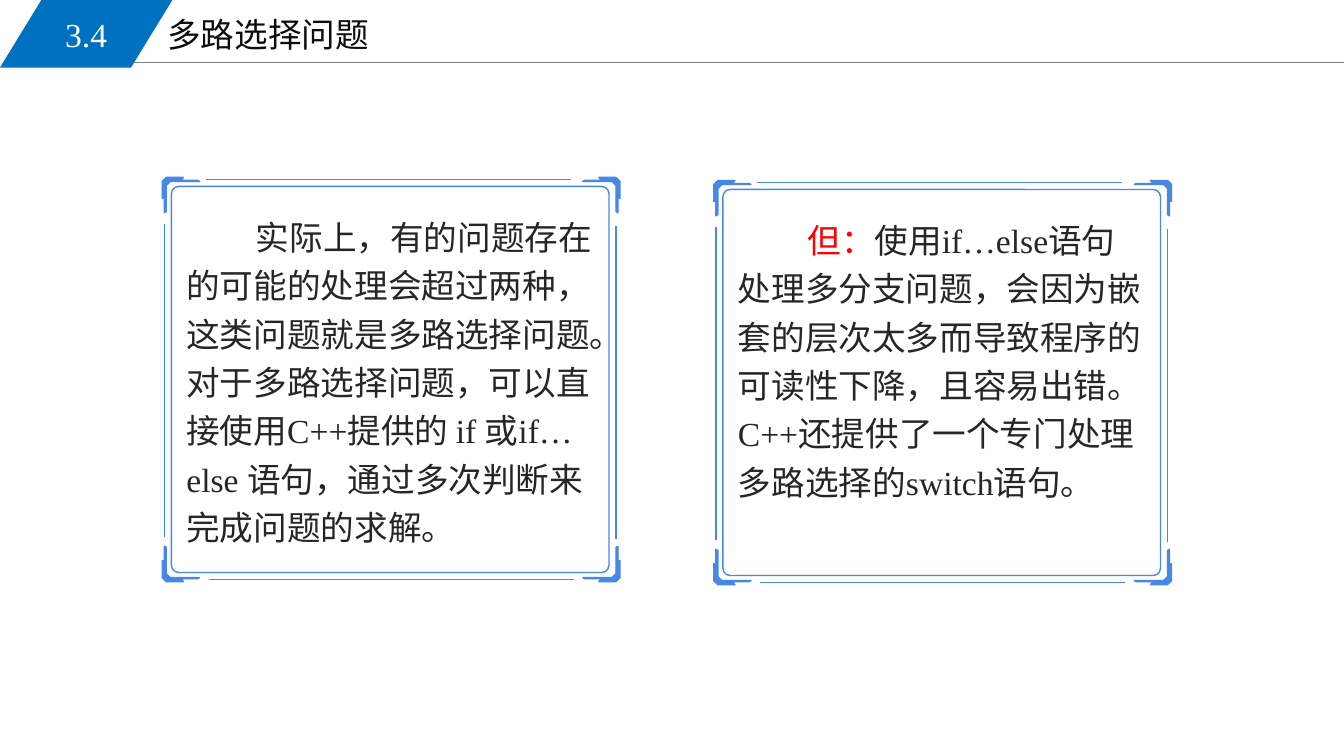
from pptx import Presentation
from pptx.dml.color import RGBColor
from pptx.enum.shapes import MSO_CONNECTOR, MSO_SHAPE
from pptx.enum.text import MSO_ANCHOR, MSO_AUTO_SIZE, PP_ALIGN
from pptx.oxml.ns import qn
from pptx.util import Emu, Inches, Pt
from lxml import etree

LINE = MSO_CONNECTOR.STRAIGHT
PARALLELOGRAM, ROUND_RECT = MSO_SHAPE.PARALLELOGRAM, MSO_SHAPE.ROUNDED_RECTANGLE
TOP, MIDDLE = MSO_ANCHOR.TOP, MSO_ANCHOR.MIDDLE
GROW = MSO_AUTO_SIZE.SHAPE_TO_FIT_TEXT
LEFT, CENTER = PP_ALIGN.LEFT, PP_ALIGN.CENTER

SLIDE_W, SLIDE_H = 13.33, 7.5
FONT, SIZE = "Times New Roman", 24
BLUE, FRAME, GREY, INK, RED = "0070C0", "4788E6", "808080", "262626", "FF0000"
FRAME_W, FRAME_H = 4.54, 4.01

# Top-left bracket, as distances inward from the frame corner
BRACKET = [(.04, 0), (.21, 0), (.18, .03), (.35, .03), (.37, .04), (.08, .04),
           (.04, .08), (.04, .34), (.02, .35), (.02, .19), (0, .21), (0, .04)]


def color(value):
    return RGBColor.from_string(value)


def add_run(p, text, hex_color):
    r = p.add_run()
    r.text = text
    r.font.name, r.font.size = FONT, Pt(SIZE)
    r.font.color.rgb = color(hex_color)


def add_line(s, x1, y1, x2, y2, hex_color, width):
    line = s.shapes.add_connector(LINE, *map(Inches, (x1, y1, x2, y2)))
    line.line.color.rgb = color(hex_color)
    line.line.width = Pt(width)
    etree.SubElement(line._element.spPr, qn("a:effectLst"))


def add_header(s, number, title):
    add_line(s, 1.13, .62, SLIDE_W, .62, GREY, .75)

    # Title placeholder
    sp = s.shapes.title
    sp.left, sp.top, sp.width, sp.height = map(Inches, (1.56, .09, 5.67, .51))
    tf = sp.text_frame
    tf.word_wrap, tf.auto_size, tf.vertical_anchor = True, GROW, TOP
    p = tf.paragraphs[0]
    p.alignment = LEFT
    add_run(p, title, "0D0D0D")

    # Section number tab
    tab = s.shapes.add_shape(PARALLELOGRAM, 0, 0, Inches(1.71), Inches(.67))
    tab.adjustments[0] = .612
    tab.shadow.inherit = False
    tab.fill.solid()
    tab.fill.fore_color.rgb = color(BLUE)
    tab.line.fill.background()
    tab.text_frame.vertical_anchor = MIDDLE
    p = tab.text_frame.paragraphs[0]
    p.alignment = CENTER
    add_run(p, number, "FFFFFF")


def add_bracket(s, x, y, x_dir, y_dir):
    points = [(Inches(x + x_dir * dx), Inches(y + y_dir * dy)) for dx, dy in BRACKET]
    builder = s.shapes.build_freeform(*points[0], scale=1.0)
    builder.add_line_segments(points[1:], close=True)
    sp = builder.convert_to_shape()
    sp.shadow.inherit = False
    sp.fill.solid()
    sp.fill.fore_color.rgb = sp.line.color.rgb = color(FRAME)
    sp.line.width = Pt(1)


def add_panel(s, x, y, text_h, runs):
    right, bottom = x + FRAME_W, y + FRAME_H

    # Text
    box = s.shapes.add_textbox(*map(Inches, (x + .14, y + .26, 4.25, text_h)))
    tf = box.text_frame
    tf.word_wrap, tf.auto_size = True, GROW
    p = tf.paragraphs[0]
    p.line_spacing = 1.2
    pPr = p._p.get_or_add_pPr()
    pPr.set("indent", str(Inches(.69)))
    pPr.set("hangingPunct", "1")
    for text, hex_color in runs:
        add_run(p, text, hex_color)

    # Rounded inner border
    inner = s.shapes.add_shape(ROUND_RECT, *map(Inches, (x + .09, y + .09, 4.34, 3.83)))
    inner.adjustments[0] = .019
    inner.shadow.inherit = False
    inner.fill.background()
    inner.line.color.rgb = color(FRAME)
    inner.line.width = Pt(1)

    # Corner brackets
    for corner_x, x_dir in ((x, 1), (right, -1)):
        for corner_y, y_dir in ((y, 1), (bottom, -1)):
            add_bracket(s, corner_x, corner_y, x_dir, y_dir)

    # Outer edges
    for start, edge_y in ((x + .43, y + .02), (x + .46, bottom - .02)):
        add_line(s, start, edge_y, start + 3.62, edge_y, FRAME, 1)
    for edge_x, start in ((x + .02, y + .46), (right - .04, y + .48)):
        add_line(s, edge_x, start, edge_x, start + 3.11, FRAME, 1)


def main():
    prs = Presentation()
    prs.slide_width, prs.slide_height = Inches(SLIDE_W), Inches(SLIDE_H)
    s = prs.slides.add_slide(prs.slide_layouts[5])
    add_header(s, "3.4", "多路选择问题")
    add_panel(s, 1.61, 1.76, 3.49, [
        ("实际上，有的问题存在的可能的处理会超过两种，这类问题就是多路选择问题。"
         "对于多路选择问题，可以直接使用C++提供的 if 或if…else 语句，"
         "通过多次判断来完成问题的求解。", INK)])
    add_panel(s, 7.08, 1.79, 3.01, [
        ("但：", RED),
        ("使用if…else语句处理多分支问题，会因为嵌套的层次太多而导致程序的可读性下降，"
         "且容易出错。C++还提供了一个专门处理多路选择的switch语句。", INK)])
    prs.save("out.pptx")


if __name__ == "__main__":
    main()
